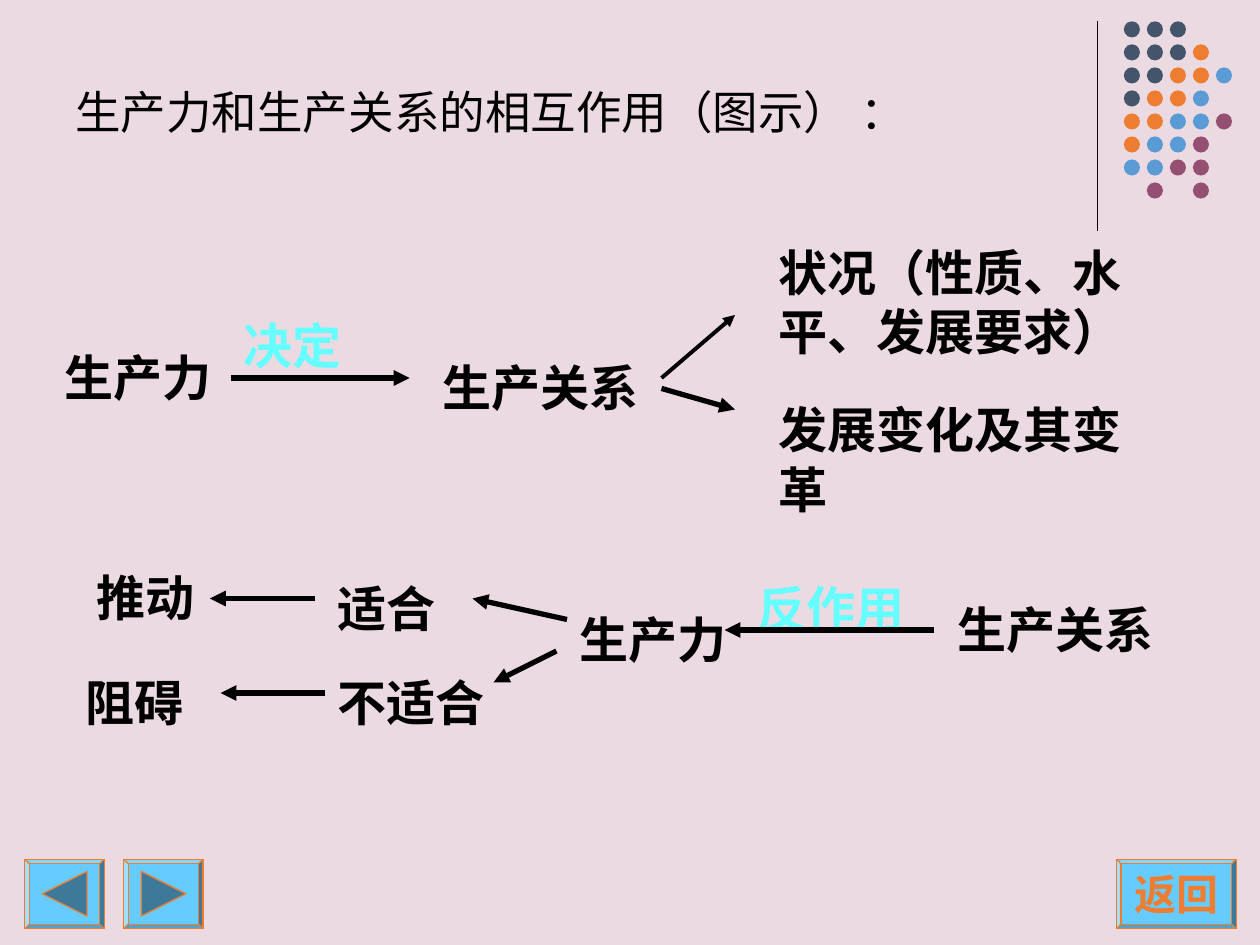
from lxml import etree
from pptx import Presentation
from pptx.dml.color import RGBColor
from pptx.enum.shapes import MSO_CONNECTOR as Link, MSO_SHAPE as Preset
from pptx.enum.text import MSO_ANCHOR as Anchor, MSO_AUTO_SIZE as Fit, PP_ALIGN as Align
from pptx.oxml.ns import qn
from pptx.util import Pt

LATIN, CHINESE, JAPANESE = "Times New Roman", "Noto Sans CJK SC", "Noto Sans CJK JP"
BLACK, CYAN, ORANGE, SKY, STEEL = "000000", "66FFFF", "ED7D31", "66CCFF", "3D7A99"
DOT_COLOURS = {"N": "44546A", "O": ORANGE, "B": "5B9BD5", "P": "954F72"}
DOT_ROWS = ["NNN", "NNNO", "NNOOB", "NOOB", "OOBBP", "OBBP", "BBPP", " P P"]

# left, top, width, height, text, colour
LABELS = [
    (30, 192, 108, 41, "生产力", BLACK),
    (246, 198, 144, 41, "生产关系", BLACK),
    (438, 132, 234, 75, "状况（性质、水平、发展要求）", BLACK),
    (438, 222, 222, 75, "发展变化及其变革", BLACK),
    (132, 174, 90, 41, "决定", CYAN),
    (540, 336, 149, 41, "生产关系", BLACK),
    (324, 342, 114, 41, "生产力", BLACK),
    (186, 324, 84, 41, "适合", BLACK),
    (48, 318, 78, 41, "推动", BLACK),
    (186, 378, 102, 41, "不适合", BLACK),
    (42, 378, 72, 41, "阻碍", BLACK),
    (426, 324, 114, 41, "反作用", CYAN),
]

# start x, start y, end x, end y, width
ARROWS = [
    (132, 216, 234, 216, 3),
    (378, 216, 420, 180, 2.25),
    (378, 222, 420, 234, 3),
    (534, 360, 414, 360, 3),
    (324, 354, 270, 342, 3),
    (318, 372, 282, 390, 3),
    (180, 342, 120, 342, 3),
    (186, 396, 126, 396, 3),
]


def colour(value):
    return RGBColor.from_string(value)


def apply(target, values):
    for name, value in values.items():
        setattr(target, name, value)


def paint(shape, fill, line=None):
    shape.shadow.inherit = False
    shape.fill.solid()
    shape.fill.fore_color.rgb = colour(fill)
    if line:
        shape.line.color.rgb = colour(line)
        shape.line.width = Pt(0.75)
    else:
        shape.line.fill.background()


def add_span(para, text, size, hue, bold, latin=LATIN, asian=CHINESE):
    span = para.add_run()
    span.text = text
    apply(span.font, {"name": latin, "size": Pt(size), "bold": bold})
    span.font.color.rgb = colour(hue)
    face = etree.SubElement(span._r.get_or_add_rPr(), qn("a:ea"))
    face.set("typeface", asian)


def add_text_box(page, frame, line_height, values):
    box = page.shapes.add_textbox(*map(Pt, frame))
    apply(box.text_frame, {"word_wrap": True, **values})
    para = box.text_frame.paragraphs[0]
    para.line_spacing = Pt(line_height)
    return para


def add_label(page, left, top, width, height, text, hue):
    values = {"margin_top": Pt(6), "margin_bottom": Pt(1),
              "auto_size": Fit.SHAPE_TO_FIT_TEXT}
    para = add_text_box(page, (left, top, width, height), 34, values)
    add_span(para, text, 28, hue, True)


def add_title(page):
    values = {"vertical_anchor": Anchor.BOTTOM, "margin_bottom": Pt(32.5)}
    para = add_text_box(page, (36, 9.4, 594, 102.2), 31, values)
    add_span(para, "生产力和生产关系的相互作用（图示）", 26, BLACK, False)
    add_span(para, " ：", 26, BLACK, False, CHINESE)


def add_line(page, x1, y1, x2, y2, width, arrow=True):
    line = page.shapes.add_connector(Link.STRAIGHT, *map(Pt, (x1, y1, x2, y2)))
    line.line.color.rgb = colour(BLACK)
    line.line.width = Pt(width)
    if arrow:
        head = etree.SubElement(line.line._get_or_add_ln(), qn("a:tailEnd"))
        head.set("type", "triangle")
    etree.SubElement(line._element.spPr, qn("a:effectLst"))


def add_dots(page):
    group = page.shapes.add_group_shape()
    pitch, size = 13.15, 9.2
    for row, codes in enumerate(DOT_ROWS):
        for column, code in enumerate(codes):
            if code in DOT_COLOURS:
                dot = group.shapes.add_shape(
                    Preset.OVAL, Pt(642.2 + column * pitch), Pt(12.2 + row * pitch),
                    Pt(size), Pt(size))
                paint(dot, DOT_COLOURS[code])


def add_button(page, left, width):
    button = page.shapes.add_shape(Preset.BEVEL, Pt(left), Pt(491), Pt(width), Pt(39.7))
    button.adjustments[0] = 0.065
    paint(button, SKY, ORANGE)
    return button


def add_arrow_button(page, left, rotation):
    add_button(page, left, 45.4)
    triangle = page.shapes.add_shape(
        Preset.ISOSCELES_TRIANGLE, Pt(left + 10), Pt(498), Pt(25.5), Pt(25.5))
    triangle.rotation = rotation
    paint(triangle, STEEL, ORANGE)


def add_return_button(page):
    frame = add_button(page, 638, 68.4).text_frame
    apply(frame, {"word_wrap": False, "vertical_anchor": Anchor.MIDDLE,
                  "margin_top": 0, "margin_bottom": 0})
    para = frame.paragraphs[0]
    para.alignment = Align.CENTER
    add_span(para, "返回", 24, ORANGE, True, JAPANESE, JAPANESE)


def main():
    deck = Presentation()
    apply(deck, {"slide_width": Pt(720), "slide_height": Pt(540)})
    page = deck.slides.add_slide(deck.slide_layouts[6])
    page.background.fill.solid()
    page.background.fill.fore_color.rgb = colour("EBDAE2")

    # Corner decoration
    add_line(page, 627, 12, 627, 132, 0.75, arrow=False)
    add_dots(page)

    # Navigation buttons
    add_arrow_button(page, 14.2, 270)
    add_return_button(page)
    add_arrow_button(page, 70.7, 90)

    # Diagram
    for label in LABELS:
        add_label(page, *label)
    for arrow in ARROWS:
        add_line(page, *arrow)

    add_title(page)
    deck.save("out.pptx")


if __name__ == "__main__":
    main()
